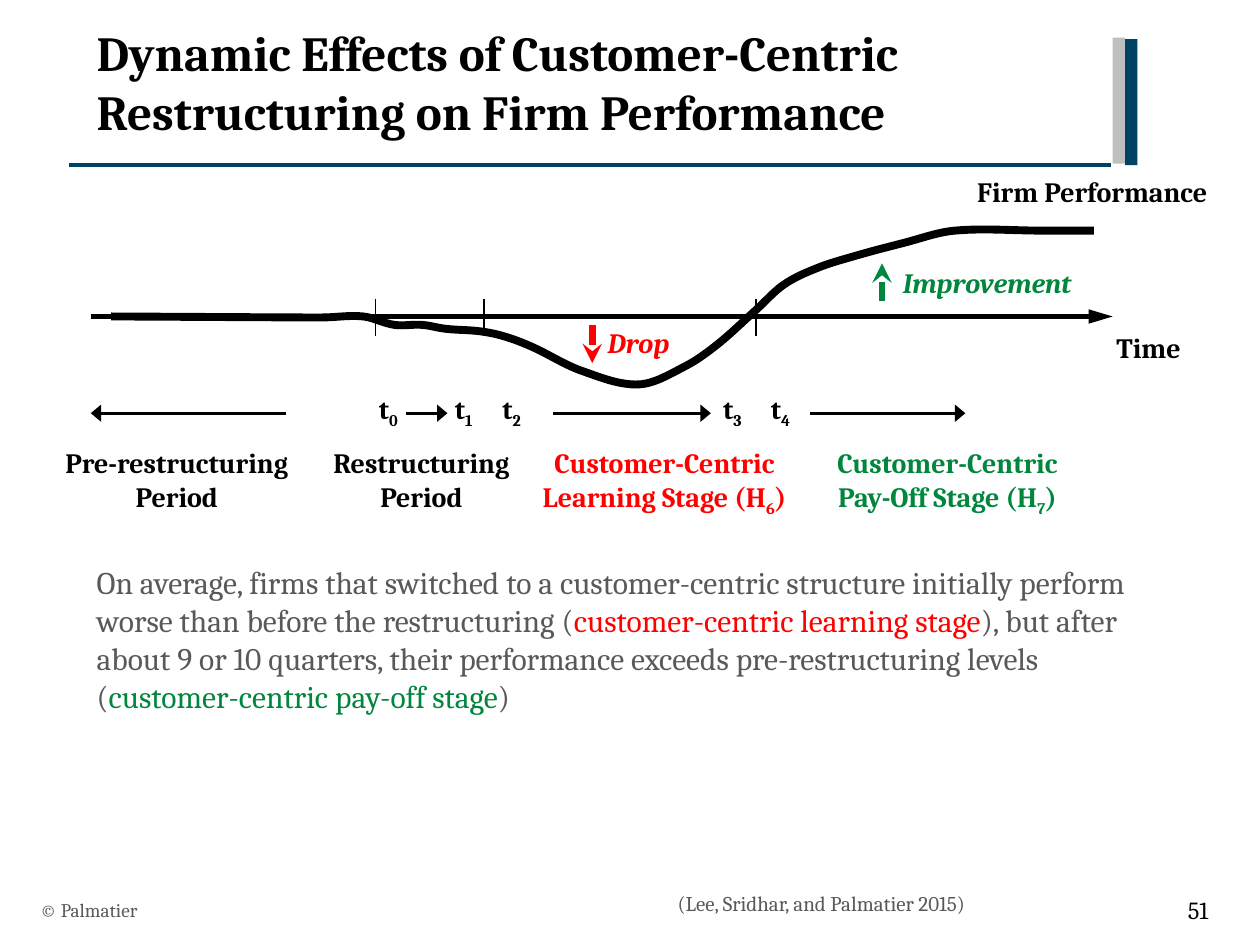
import dataclasses
import pptx
import pptx.dml.color
import pptx.enum.shapes
import pptx.enum.text
import pptx.oxml
import pptx.oxml.ns
import pptx.util
from lxml import etree

Cm = pptx.util.Cm
Pt = pptx.util.Pt
qn = pptx.oxml.ns.qn
ALIGN = pptx.enum.text.PP_ALIGN
ANCHOR = pptx.enum.text.MSO_ANCHOR
AUTO = pptx.enum.text.MSO_AUTO_SIZE


@dataclasses.dataclass(frozen=True)
class Theme:
    font: str = "Cambria"
    black: str = "000000"
    gray: str = "595959"
    silver: str = "BFBFBF"
    navy: str = "004264"
    red: str = "FF0000"
    green: str = "00863D"
    title: int = 28
    body: int = 18
    label: int = 16
    number: int = 14
    source: int = 12
    footer: int = 11


T = Theme()

CURVE = [
    (2.24, 6.38), (5.97, 6.4), (6.53, 6.4), (7.32, 6.38), (7.95, 6.55),
    (8.51, 6.55), (8.99, 6.63), (9.68, 6.68), (10.16, 6.78), (10.72, 6.99),
    (11.71, 7.47), (12.88, 7.75), (13.84, 7.37), (14.48, 6.93),
    (15.24, 6.25), (15.8, 5.74), (16.46, 5.41), (17.17, 5.18),
    (18.21, 4.9), (19.25, 4.65), (21.01, 4.65), (22.05, 4.65),
]


def rgb(color):
    return pptx.dml.color.RGBColor.from_string(color)


def add_text(s, text, box, size=T.label, color=T.black, bold=False, italic=False,
             align=ALIGN.LEFT, anchor=ANCHOR.TOP, wrap=True, grow=False):
    """text is a string, or a list of paragraphs made of (text, format) runs."""
    sp = s.shapes.add_textbox(*map(Cm, box))
    tf = sp.text_frame
    tf.word_wrap = wrap
    tf.auto_size = AUTO.SHAPE_TO_FIT_TEXT if grow else AUTO.NONE
    tf.vertical_anchor = anchor
    paragraphs = [[(text, {})]] if isinstance(text, str) else text
    for i, runs in enumerate(paragraphs):
        p = tf.add_paragraph() if i else tf.paragraphs[0]
        p.alignment = align
        for words, fmt in runs:
            r = p.add_run()
            r.text = words
            r.font.name = T.font
            r.font.size = Pt(size)
            r.font.bold = bold
            r.font.italic = italic
            r.font.color.rgb = rgb(fmt.get("color", color))
            if fmt.get("sub"):
                r._r.get_or_add_rPr().set("baseline", "-25000")
    return sp


def add_line(s, start, end, width, color=T.black, head=None, head_w="med", head_len="med"):
    ln = s.shapes.add_connector(pptx.enum.shapes.MSO_CONNECTOR.STRAIGHT,
                                *map(Cm, start + end))
    ln.line.width = Pt(width)
    ln.line.color.rgb = rgb(color)
    if head:
        etree.SubElement(ln.line._get_or_add_ln(), qn("a:tailEnd"),
                         type=head, w=head_w, len=head_len)
    etree.SubElement(ln._element.spPr, qn("a:effectLst"))


def add_bar(s, box, color):
    sp = s.shapes.add_shape(pptx.enum.shapes.MSO_SHAPE.RECTANGLE, *map(Cm, box))
    sp.shadow.inherit = False
    sp.fill.solid()
    sp.fill.fore_color.rgb = rgb(color)
    sp.line.fill.background()


def add_curve(s, points, width, color):
    pts = [(Cm(x), Cm(y)) for x, y in points]
    builder = s.shapes.build_freeform(*pts[0])
    builder.add_line_segments(pts[1:], close=False)
    sp = builder.convert_to_shape()
    sp.shadow.inherit = False
    sp.fill.background()
    sp.line.width = Pt(width)
    sp.line.color.rgb = rgb(color)

    slopes = []
    for i in range(len(pts)):
        (xa, ya), (xb, yb) = pts[max(i - 1, 0)], pts[min(i + 1, len(pts) - 1)]
        slopes.append((yb - ya) / (xb - xa))
    segments = list(sp._element.iter(qn("a:lnTo")))
    for i, seg in enumerate(segments):
        (x0, y0), (x1, y1) = pts[i], pts[i + 1]
        third = (x1 - x0) / 3
        seg.tag = qn("a:cubicBezTo")
        controls = [(x0 + third, y0 + third * slopes[i]),
                    (x1 - third, y1 - third * slopes[i + 1])]
        for k, (x, y) in enumerate(controls):
            pt = etree.Element(qn("a:pt"), x=str(round(x - sp.left)),
                               y=str(round(y - sp.top)))
            seg.insert(k, pt)


def add_header(s):
    add_line(s, (1.4, 3.33), (22.4, 3.33), 2, T.navy)
    add_bar(s, (22.68, 0.79, 0.25, 2.54), T.navy)
    add_bar(s, (22.43, 0.76, 0.25, 2.54), T.silver)
    add_text(s, "Dynamic Effects of Customer-Centric Restructuring on Firm Performance",
             (1.7, 0.33, 20.27, 2.11), size=T.title, bold=True)


def add_diagram(s):
    add_line(s, (1.83, 6.38), (22.43, 6.38), 2.75, head="triangle", head_len="lg")
    for x in (7.57, 9.75, 15.24):
        add_line(s, (x, 6.02), (x, 6.78), 1)
    add_curve(s, CURVE, 4.5, T.black)
    add_line(s, (11.94, 6.55), (11.94, 7.32), 3.75, T.red, "stealth")
    add_line(s, (17.78, 6.07), (17.78, 5.31), 3.75, T.green, "stealth")

    for text, left, top, width, color, italic in (
        ("Improvement", 17.83, 5.23, 4.14, T.green, True),
        ("Drop", 11.96, 6.43, 1.83, T.red, True),
        ("Time", 22.23, 6.53, 1.85, T.black, False),
        ("Firm Performance", 19.33, 3.4, 5.38, T.black, False),
    ):
        add_text(s, text, (left, top, width, 0.94), color=color, bold=True,
                 italic=italic, align=ALIGN.CENTER, wrap=False, grow=True)

    for i, left in enumerate((7.39, 8.92, 9.88, 14.33, 15.29)):
        add_text(s, [[("t", {}), (str(i), {"sub": True})]], (left, 7.77, 0.94, 0.94),
                 bold=True, wrap=False, grow=True)

    for x0, x1 in ((5.77, 1.83), (8.18, 9.02), (11.15, 14.33), (16.33, 19.46)):
        add_line(s, (x0, 8.33), (x1, 8.33), 1.5, head="triangle", head_w="lg")


def add_periods(s):
    learning = [[("Customer-Centric Learning Stage (H", {}), ("6", {"sub": True}), (")", {})]]
    payoff = [[("Customer-Centric", {})],
              [("Pay-Off Stage (H", {}), ("7", {"sub": True}), (")", {})]]
    for text, left, width, color in (
        ("Pre-restructuring Period", 0.86, 5.41, T.black),
        ("Restructuring Period", 6.27, 4.45, T.black),
        (learning, 10.59, 5.61, T.red),
        (payoff, 16.05, 6.1, T.green),
    ):
        add_text(s, text, (left, 8.86, width, 1.63), color=color, bold=True,
                 align=ALIGN.CENTER, grow=True)


def add_summary(s):
    add_text(s, [[
        ("On average, firms that switched to a customer-centric structure initially "
         "perform worse than before the restructuring (", {}),
        ("customer-centric learning stage", {"color": T.red}),
        ("), but after about 9 or 10 quarters, their performance exceeds "
         "pre-restructuring levels (", {}),
        ("customer-centric pay-off stage", {"color": T.green}),
        (")", {}),
    ]], (1.7, 11.23, 22.22, 5.72), size=T.body, color=T.gray)


def add_footer(s):
    add_text(s, "(Lee, Sridhar, and Palmatier 2015)", (13.41, 17.83, 11.66, 0.76),
             size=T.source, color=T.gray, grow=True)
    add_text(s, "© Palmatier", (0.56, 17.83, 17.02, 1.02), size=T.footer,
             color=T.gray, anchor=ANCHOR.MIDDLE)
    add_text(s, "51", (23.06, 17.83, 1.55, 1.02), size=T.number,
             align=ALIGN.RIGHT, anchor=ANCHOR.MIDDLE)


def main():
    prs = pptx.Presentation()
    prs.slide_width, prs.slide_height = Cm(25.4), Cm(19.05)
    s = prs.slides.add_slide(prs.slide_layouts[6])
    add_header(s)
    add_diagram(s)
    add_periods(s)
    add_summary(s)
    add_footer(s)
    prs.save("out.pptx")


if __name__ == "__main__":
    main()
